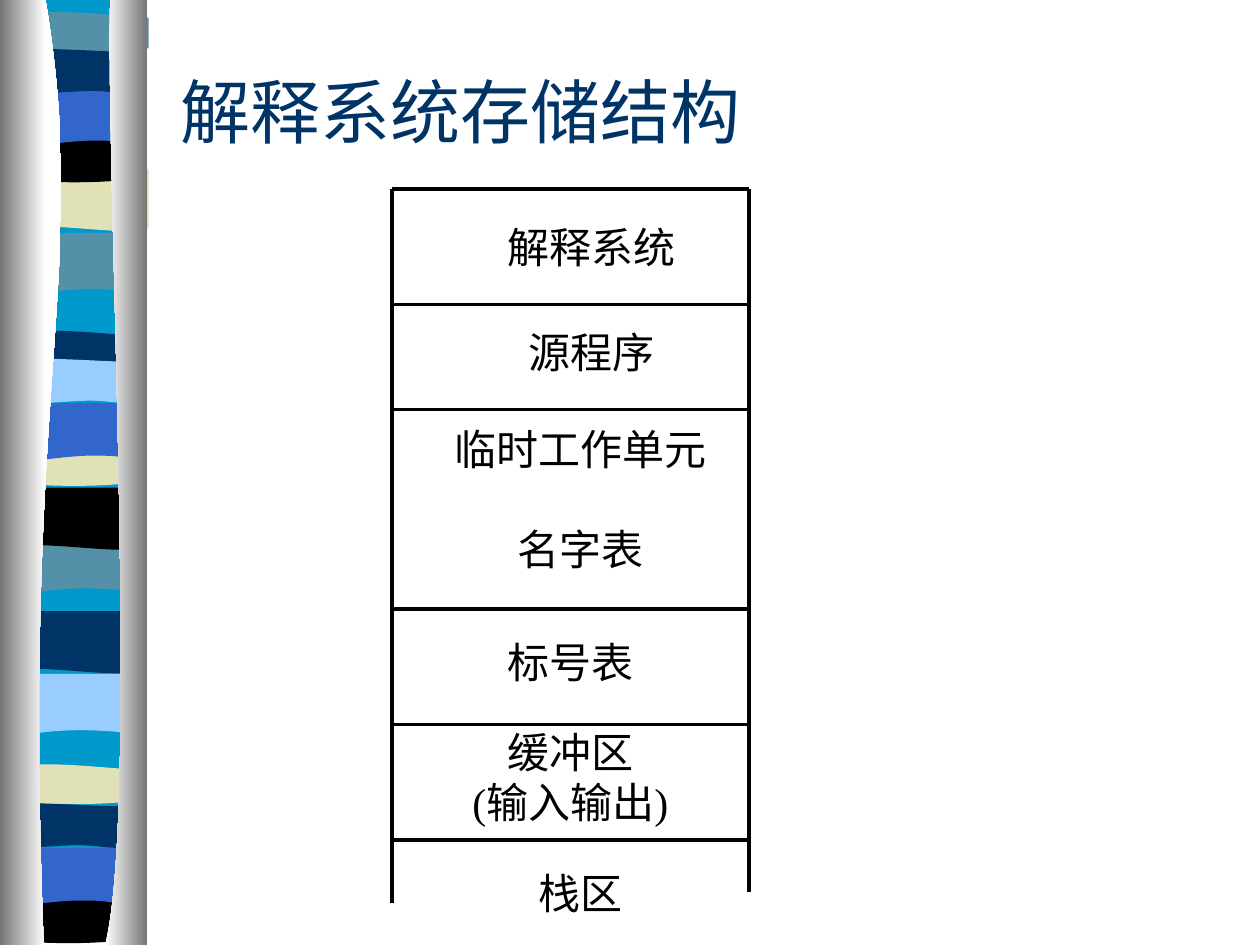
from dataclasses import dataclass

from lxml import etree
from pptx import Presentation
from pptx.dml.color import RGBColor
from pptx.enum import shapes, text
from pptx.oxml.ns import qn
from pptx.util import Pt

FONT = "Times New Roman"
COLORS = {
    "black": "000000", "white": "FFFFFF", "gray": "767676",
    "navy": "003366", "blue": "3366CC", "sky": "99CCFF",
    "cyan": "0099CC", "teal": "5490A8", "sand": "E1E1B7",
}

# Ribbon outlines in points: a pair is a line end, six numbers are a Bezier curve
OUTLINES = {
    "ripple": [(78, 0), (78, 34), (24, 28, 13, 40, 0, 34), (0, 0)],
    "swell": [(78, 0), (78, 34), (65, 39, 24, 30, 0, 34), (0, 0)],
    "bowl": [(78, 3.6), (78, 21), (65, 24, 13, 24, 0, 21), (0, 3.6),
             (5, 0, 17, 0.5, 30, 0.5), (43, 0.5, 68, 3, 78, 3.6)],
    "dip": [(78, 0), (78, 23), (65, 27.5, 13, 27.5, 0, 23), (0, 0),
            (48, 3.6, 62, 0, 78, 0)],
    "arch": [(78, 0), (78, 34), (66, 30, 61, 30, 48, 30),
             (35, 30, 12, 34, 0, 34), (0, 0)],
    "wave": [(78, 3.6), (78, 26), (73, 29.5, 61, 26, 48, 26),
             (35, 26, 8, 29.5, 0, 26), (0, 3.6),
             (11, 0, 53, 3.6, 66, 3.6), (79, 3.6, 76, 3.6, 78, 3.6)],
    "backing": [(78, 0), (78, 538), (0, 538), (0, 0)],
    "left edge": [(26, 0), (52, 156, 12, 213, 25, 540), (0, 540), (0, 0)],
    "right edge": [(63, 0), (60, 90, 80, 465, 60, 540), (84, 540), (84, 0)],
}


@dataclass
class Band:
    outline: str
    left: float
    top: float
    color: str


@dataclass
class Cell:
    left: float
    top: float
    height: float
    lines: list[str]
    gap: float = 0


BANDS = [
    Band("backing", 4, 0, "cyan"),
    Band("ripple", 3.8, 133, "teal"), Band("swell", 7, 96.5, "sand"),
    Band("bowl", 7, 6.5, "teal"), Band("dip", 3.6, 77.8, "black"),
    Band("arch", 4.3, 50.4, "blue"), Band("wave", 4.3, 26, "navy"),
    Band("ripple", 0, 304, "teal"), Band("swell", 3.6, 278.6, "black"),
    Band("bowl", 3.6, 188.6, "navy"), Band("dip", 3.6, 251.3, "sand"),
    Band("arch", 3.6, 230.4, "blue"), Band("wave", 3.6, 203, "sky"),
    Band("ripple", -3, 385, "sky"), Band("swell", 1.4, 349.2, "navy"),
    Band("bowl", 0, 436.3, "sand"), Band("dip", 0, 512.6, "black"),
    Band("arch", -3.6, 484.6, "blue"), Band("wave", -3.6, 457, "navy"),
]
CELLS = [
    Cell(302, 126, 30, ["解释系统"]),
    Cell(302, 186, 30, ["源程序"]),
    Cell(296, 246, 78, ["临时工作单元", "名字表"], gap=28),
    Cell(290, 360, 36, ["标号表"]),
    Cell(290, 426, 36, ["缓冲区", "(输入输出)"]),
    Cell(296, 498, 24, ["栈区"]),
]


def rgb(name: str) -> RGBColor:
    return RGBColor.from_string(COLORS[name])


def add_outline(slide, name: str, left: float = 0, top: float = 0):
    outline = OUTLINES[name]
    ends = [(Pt(left + seg[-2]), Pt(top + seg[-1])) for seg in outline]
    fb = slide.shapes.build_freeform(*ends[0])
    fb.add_line_segments(ends[1:], close=True)
    sp = fb.convert_to_shape()
    sp.shadow.inherit = False
    sp.line.fill.background()

    # Bend the straight segments that are curves
    for seg, node in zip(outline[1:], list(sp._element.iter(qn("a:lnTo")))):
        if len(seg) == 6:
            curve = etree.Element(qn("a:cubicBezTo"))
            for x, y in zip(seg[::2], seg[1::2]):
                etree.SubElement(curve, qn("a:pt"),
                                 x=str(Pt(left + x) - sp.left),
                                 y=str(Pt(top + y) - sp.top))
            node.getparent().replace(node, curve)
    return sp


def add_band(slide, band: Band) -> None:
    sp = add_outline(slide, band.outline, band.left, band.top)
    sp.fill.solid()
    sp.fill.fore_color.rgb = rgb(band.color)


def add_edge(slide, name: str, start: str, end: str) -> None:
    sp = add_outline(slide, name)
    sp.fill.gradient()
    sp.fill.gradient_angle = 0
    for stop, color, pos in zip(sp.fill.gradient_stops, (start, end), (0, 1)):
        stop.color.rgb = rgb(color)
        stop.position = pos


def add_line(slide, x1: float, y1: float, x2: float, y2: float) -> None:
    line = slide.shapes.add_connector(
        shapes.MSO_CONNECTOR.STRAIGHT, Pt(x1), Pt(y1), Pt(x2), Pt(y2))
    line.line.color.rgb = rgb("black")
    line.line.width = Pt(2.25)
    etree.SubElement(line._element.spPr, qn("a:effectLst"))


def write(tf, lines: list[str], *, size: float, color: str,
          align=text.PP_ALIGN.LEFT, gap: float = 0, wrap: bool = True) -> None:
    tf.word_wrap = wrap
    tf.vertical_anchor = text.MSO_ANCHOR.MIDDLE
    for i, line in enumerate(lines):
        p = tf.add_paragraph() if i else tf.paragraphs[0]
        p.alignment = align
        p.space_before = Pt(gap if i else 0)
        r = p.add_run()
        r.text = line
        r.font.name, r.font.size = FONT, Pt(size)
        r.font.color.rgb = rgb(color)


def add_cell(slide, cell: Cell) -> None:
    sp = slide.shapes.add_shape(shapes.MSO_SHAPE.RECTANGLE, Pt(cell.left),
                                Pt(cell.top), Pt(72), Pt(cell.height))
    sp.shadow.inherit = False
    sp.fill.solid()
    sp.fill.fore_color.rgb = rgb("white")
    sp.line.color.rgb = rgb("white")
    sp.line.width = Pt(2.25)
    write(sp.text_frame, cell.lines, size=24, color="black",
          align=text.PP_ALIGN.CENTER, gap=cell.gap, wrap=False)


def main() -> None:
    prs = Presentation()
    prs.slide_width, prs.slide_height = Pt(720), Pt(540)
    slide = prs.slides.add_slide(prs.slide_layouts[5])

    # Ribbon between two shaded edges
    for band in BANDS:
        add_band(slide, band)
    add_edge(slide, "left edge", "gray", "white")
    add_edge(slide, "right edge", "white", "gray")

    # Title, in front of the ribbon
    title = slide.shapes.title
    title.left, title.top = Pt(96), Pt(18)
    title.width, title.height = Pt(588), Pt(90)
    write(title.text_frame, ["解释系统存储结构"], size=40, color="navy")
    slide.shapes._spTree.append(title._element)

    # Storage column, open at the bottom
    left, right, top = 224, 428, 108
    add_line(slide, left, top, left, 516)
    add_line(slide, right, top, right, 510)
    for y in (top, 174, 234, 348, 414, 480):
        add_line(slide, left, y, right, y)
    for cell in CELLS:
        add_cell(slide, cell)

    prs.save("out.pptx")


if __name__ == "__main__":
    main()
